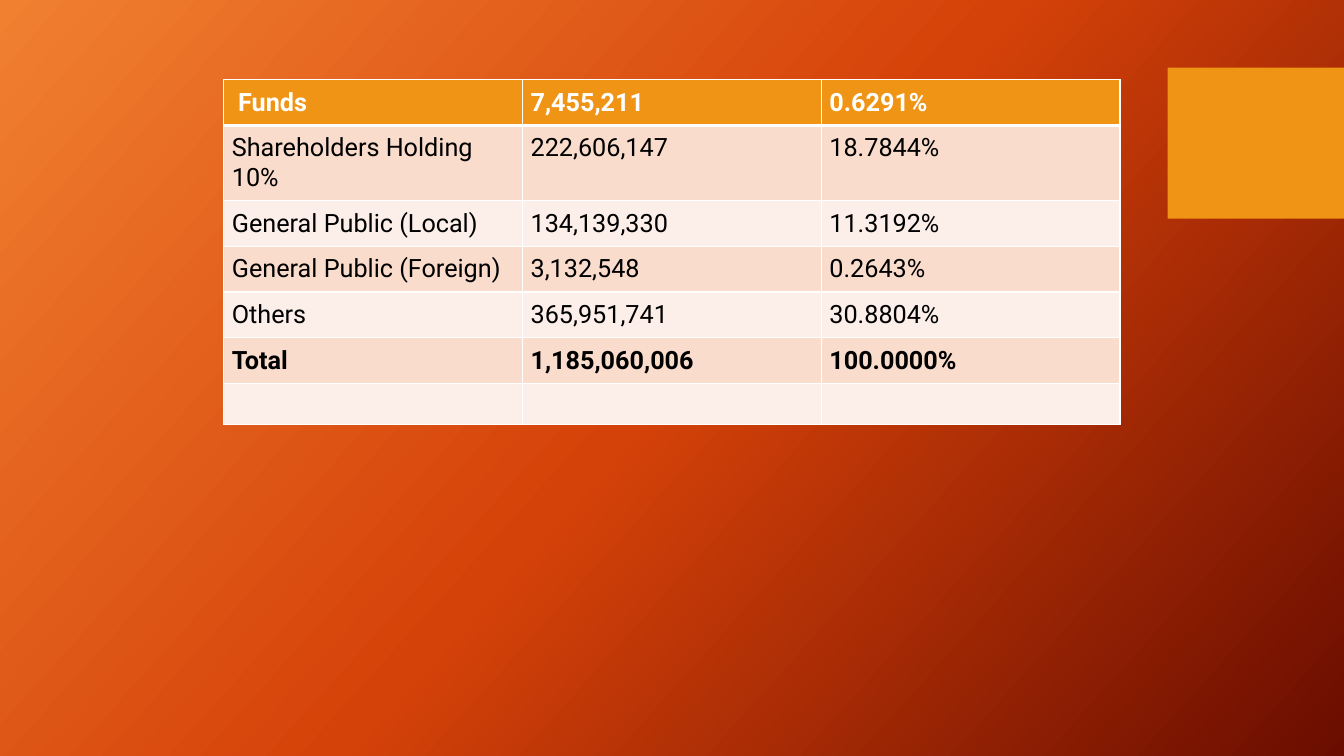
from lxml import etree
from pptx import Presentation
from pptx.dml.color import RGBColor
from pptx.enum.shapes import MSO_SHAPE
from pptx.oxml.ns import qn
from pptx.util import Inches, Pt

RECT = MSO_SHAPE.RECTANGLE
BLANK_LAYOUT = 6
FONT = "Roboto"
COLORS = {
    "light": "F18031", "middle": "D54209", "dark": "6A0D00",
    "accent": "F09415", "band": "F9DCCC", "pale": "FCEEE8",
    "white": "FFFFFF", "black": "000000",
}
GRADIENT = [(0, "light"), (50, "middle"), (100, "dark")]
ROWS = [
    (" Funds", "7,455,211", "0.6291%"),
    ("Shareholders Holding 10%", "222,606,147", "18.7844%"),
    ("General Public (Local)", "134,139,330", "11.3192%"),
    ("General Public (Foreign)", "3,132,548", "0.2643%"),
    ("Others", "365,951,741", "30.8804%"),
    ("Total", "1,185,060,006", "100.0000%"),
    ("", "", ""),
]


def rgb(name):
    """Return the named colour."""
    return RGBColor.from_string(COLORS[name])


def add_color(parent, name):
    """Append a colour element to an XML parent."""
    etree.SubElement(parent, qn("a:srgbClr"), val=COLORS[name])


def set_background(s, stops, angle):
    """Give the slide a linear gradient background."""
    s.background.fill.gradient()
    grad = s.background.fill._xPr.find(qn("a:gradFill"))
    for child in list(grad):
        grad.remove(child)
    gs_list = etree.SubElement(grad, qn("a:gsLst"))
    for pos, name in stops:
        add_color(etree.SubElement(gs_list, qn("a:gs"), pos=str(pos * 1000)), name)
    etree.SubElement(grad, qn("a:lin"), ang=str(angle * 60000), scaled="0")


def add_block(s, left, top, width, height, color):
    """Draw a plain filled rectangle."""
    sp = s.shapes.add_shape(RECT, Inches(left), Inches(top), Inches(width), Inches(height))
    sp.shadow.inherit = False
    sp.fill.solid()
    sp.fill.fore_color.rgb = rgb(color)
    sp.line.fill.background()


def add_text(tf, text, size=18, color="black", bold=False):
    """Write one formatted run into a text frame."""
    r = tf.paragraphs[0].add_run()
    r.text = text
    r.font.name = FONT
    r.font.size = Pt(size)
    r.font.bold = bold
    r.font.color.rgb = rgb(color)


def set_borders(cell, color, **widths):
    """Set the cell borders, given in points by side."""
    tc_pr = cell._tc.get_or_add_tcPr()
    for i, side in enumerate("LRTB"):
        ln = etree.Element(qn(f"a:ln{side}"), w=str(Pt(widths.get(side, 1))))
        add_color(etree.SubElement(ln, qn("a:solidFill")), color)
        tc_pr.insert(i, ln)


def format_cell(cell, text, row):
    """Fill, frame and write one table cell."""
    header = row == 0
    cell.fill.solid()
    cell.fill.fore_color.rgb = rgb("accent" if header else "band" if row % 2 else "pale")
    set_borders(cell, "white", T=3 if row == 1 else 1, B=3 if header else 1)
    if text:
        cell.margin_left = cell.margin_right = Inches(0.08)
        cell.margin_top = cell.margin_bottom = Inches(0.08)
        add_text(cell.text_frame, text, color="white" if header else "black",
                 bold=header or ROWS[row][0] == "Total")


def add_shareholder_table(s, left, top, width, row_height):
    """Build the shareholding table."""
    cols = len(ROWS[0])
    table = s.shapes.add_table(len(ROWS), cols, Inches(left), Inches(top), Inches(width),
                               Inches(row_height * len(ROWS))).table
    for i, values in enumerate(ROWS):
        table.rows[i].height = Inches(row_height)
        for j, text in enumerate(values):
            format_cell(table.cell(i, j), text, i)


def main():
    """Build and save the slide."""
    prs = Presentation()
    prs.slide_width, prs.slide_height = Inches(13.33), Inches(7.5)
    s = prs.slides.add_slide(prs.slide_layouts[BLANK_LAYOUT])
    set_background(s, GRADIENT, 42)
    add_block(s, 11.58, 0.67, 1.75, 1.5, "accent")
    add_shareholder_table(s, 2.22, 0.79, 8.89, 0.41)
    prs.save("out.pptx")


if __name__ == "__main__":
    main()
